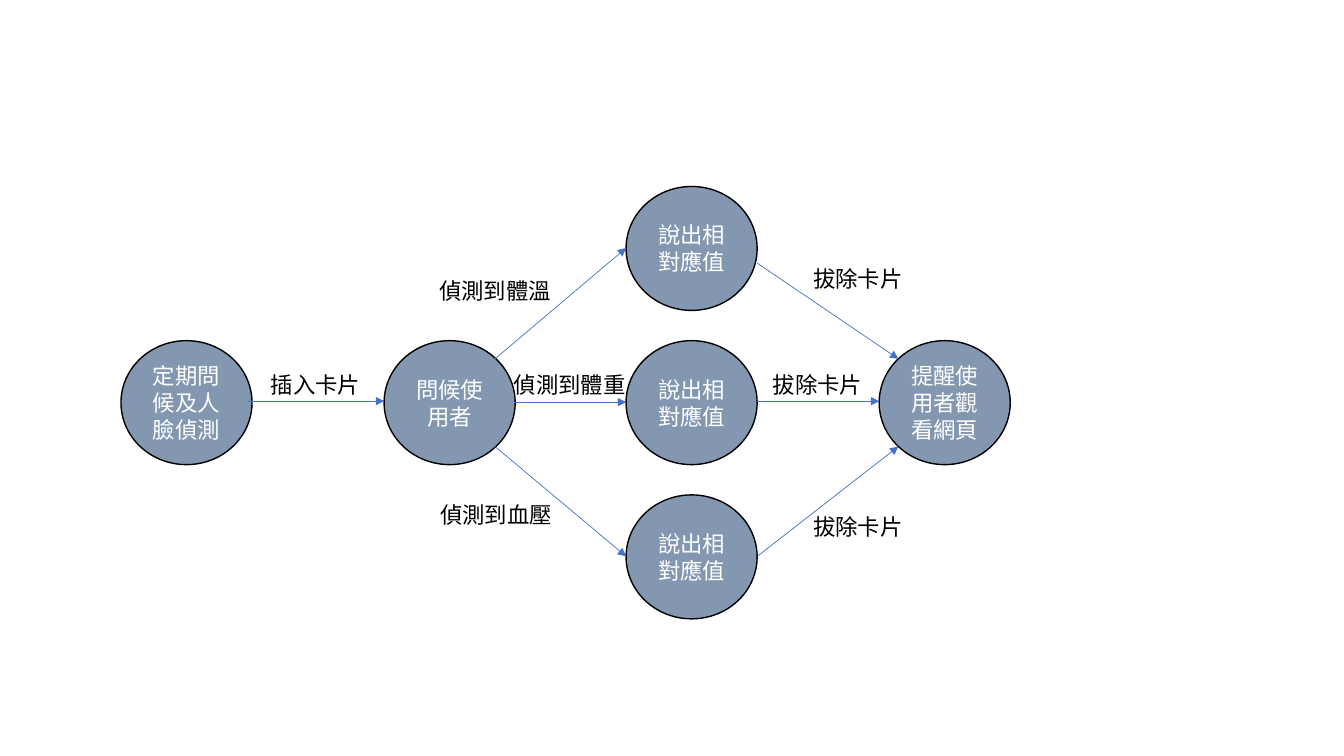
from dataclasses import dataclass

from lxml import etree
from pptx import Presentation
from pptx.dml.color import RGBColor
from pptx.enum import shapes, text
from pptx.oxml import ns
from pptx.util import Inches, Pt


@dataclass(frozen=True)
class Theme:
    fill: RGBColor = RGBColor(0x84, 0x97, 0xB0)
    edge: RGBColor = RGBColor(0x44, 0x72, 0xC4)
    dark: RGBColor = RGBColor(0, 0, 0)
    light: RGBColor = RGBColor(255, 255, 255)
    size: Pt = Pt(16)
    cjk: str = "Noto Sans CJK SC"
    latin: str = "Calibri"


theme = Theme()


def write(shape, words, color, font=theme.cjk):
    """Put one centred line of words in the shape, in Latin and East Asian font."""
    para = shape.text_frame.paragraphs[0]
    para.text = words
    para.alignment = text.PP_ALIGN.CENTER
    run = para.runs[0]
    run.font.size = theme.size
    run.font.color.rgb = color
    run.font.name = font
    etree.SubElement(run.font._element, ns.qn("a:ea"), typeface=font)


deck = Presentation()
deck.slide_width, deck.slide_height = Inches(13.33), Inches(7.5)
slide = deck.slides.add_slide(deck.slide_layouts[6])

# States: left, top, words, font
wide, high = 1.3, 1.23
mid, step = 3.38, 1.53
states = [
    (1.2, mid, "定期問候及人臉偵測", theme.cjk),
    (3.81, mid, "問候使用者", theme.latin),
    (8.72, mid, "提醒使用者觀看網頁", theme.cjk),
]
states += [(6.21, mid + row * step, "說出相對應值", theme.cjk) for row in (-1, 0, 1)]

for left, top, words, font in states:
    state = slide.shapes.add_shape(
        shapes.MSO_SHAPE.OVAL, Inches(left), Inches(top), Inches(wide), Inches(high))
    state.shadow.inherit = False
    state.fill.solid()
    state.fill.fore_color.rgb = theme.fill
    state.line.color.rgb = theme.dark
    state.line.width = Pt(1)
    state.text_frame.word_wrap = True
    state.text_frame.vertical_anchor = text.MSO_ANCHOR.MIDDLE
    write(state, words, theme.light, font)

# Moves between states: start x, y, end x, y
moves = [
    (2.46, 3.98, 3.81, 3.98),
    (4.91, 3.56, 6.21, 2.46),
    (5.1, 3.99, 6.21, 3.99),
    (4.91, 4.43, 6.21, 5.52),
    (7.51, 2.61, 8.91, 3.56),
    (7.51, 3.98, 8.72, 3.98),
    (7.51, 5.52, 8.91, 4.43),
]
for move in moves:
    arrow = slide.shapes.add_connector(
        shapes.MSO_CONNECTOR.STRAIGHT, *[Inches(n) for n in move])
    arrow.line.color.rgb = theme.edge
    arrow.line.width = Pt(0.5)
    props = arrow._element.spPr
    etree.SubElement(props.find(ns.qn("a:ln")), ns.qn("a:tailEnd"), type="triangle")
    etree.SubElement(props, ns.qn("a:effectLst"))

# Labels: left, top, width, words, wrap
labels = [
    (2.58, 3.63, 1.1, "插入卡片", False),
    (4.25, 2.7, 1.32, "偵測到體溫", False),
    (4.92, 3.63, 1.46, "偵測到體重", True),
    (4.26, 4.92, 1.32, "偵測到血壓", False),
    (7.96, 2.58, 1.1, "拔除卡片", False),
    (7.56, 3.63, 1.1, "拔除卡片", False),
    (7.96, 5.04, 1.1, "拔除卡片", False),
]
for left, top, width, words, wrap in labels:
    label = slide.shapes.add_textbox(
        Inches(left), Inches(top), Inches(width), Inches(0.37))
    label.text_frame.word_wrap = wrap
    label.text_frame.auto_size = text.MSO_AUTO_SIZE.SHAPE_TO_FIT_TEXT
    write(label, words, theme.dark)

deck.save("out.pptx")
